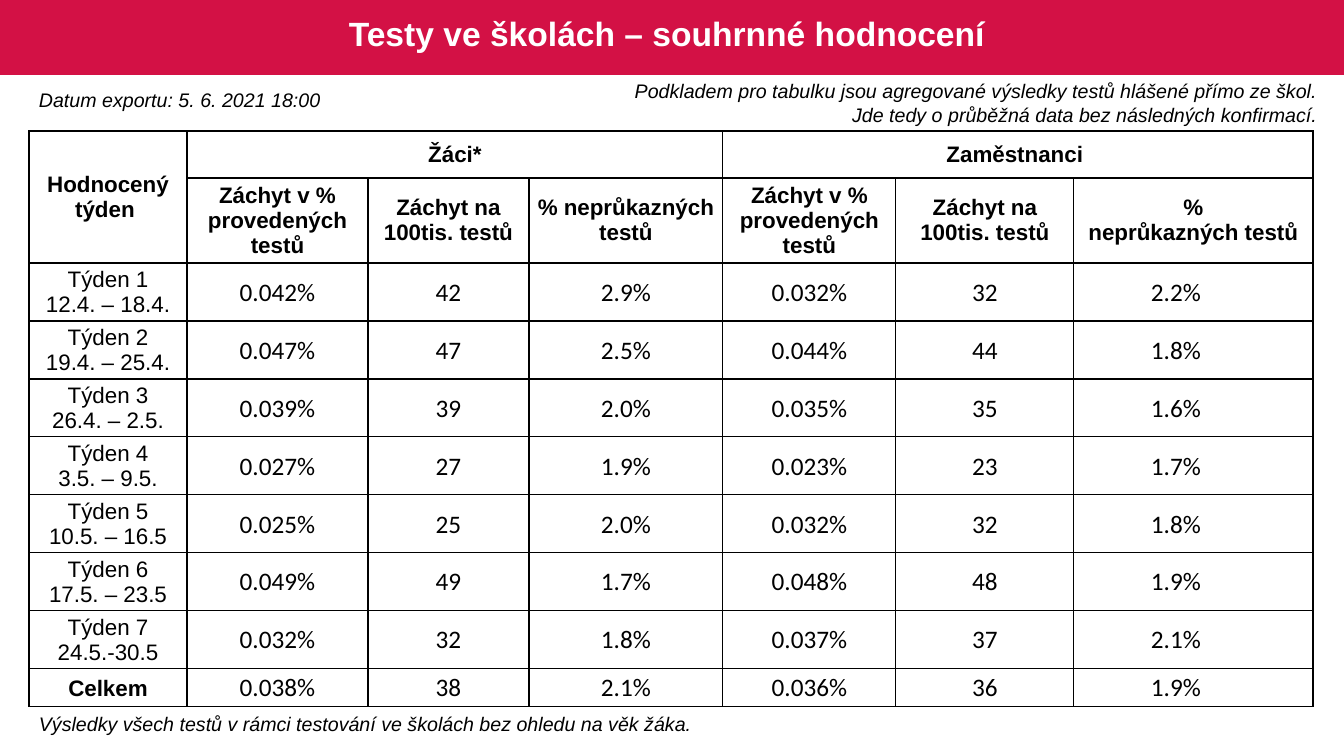
from dataclasses import dataclass

import lxml.etree
import pptx
import pptx.dml.color
import pptx.enum.shapes
import pptx.enum.text
import pptx.oxml.ns
import pptx.util

PX = 914400 / 100.8
CRIMSON = pptx.dml.color.RGBColor(0xD3, 0x11, 0x45)
WHITE = pptx.dml.color.RGBColor(0xFF, 0xFF, 0xFF)
BLACK = pptx.dml.color.RGBColor(0x00, 0x00, 0x00)
ALIGN = pptx.enum.text.PP_ALIGN
ANCHOR = pptx.enum.text.MSO_ANCHOR
AUTO_SIZE = pptx.enum.text.MSO_AUTO_SIZE
THIN, THICK = 1, 1.5

COLUMN_WIDTHS = [158, 181, 161, 194, 173, 178, 204, 35]
ROW_HEIGHTS = [47, 85] + [58] * 7 + [38]
LAST_COLUMN = len(COLUMN_WIDTHS) - 1


@dataclass(frozen=True)
class Note:
    text: str
    left: int
    top: int
    width: int
    height: int
    align: ALIGN = ALIGN.LEFT
    wrap: bool = True


@dataclass(frozen=True)
class Heading:
    text: str
    row: int
    column: int
    rows: int = 1
    columns: int = 1


@dataclass(frozen=True)
class Result:
    label: str
    values: tuple[str, ...]
    bold: bool = False


NOTES = [
    Note("Datum exportu: 5. 6. 2021 18:00", 29, 83, 314, 34, wrap=False),
    Note("Výsledky všech testů v rámci testování ve školách bez ohledu na věk žáka.",
         29, 707, 1277, 34),
    Note("Podkladem pro tabulku jsou agregované výsledky testů hlášené přímo ze škol. \n"
         "Jde tedy o průběžná data bez následných konfirmací. ",
         575, 74, 758, 57, align=ALIGN.RIGHT),
]
HEADINGS = [
    Heading("Hodnocený týden ", 0, 0, rows=2),
    Heading("Žáci*", 0, 1, columns=3),
    Heading("Zaměstnanci ", 0, 4, columns=4),
    Heading("Záchyt v % provedených testů", 1, 1),
    Heading("Záchyt na 100tis. testů", 1, 2),
    Heading("% neprůkazných testů", 1, 3),
    Heading("Záchyt v % provedených testů", 1, 4),
    Heading("Záchyt na 100tis. testů", 1, 5),
    Heading("%\nneprůkazných testů", 1, 6, columns=2),
]
RESULTS = [
    Result("Týden 1\n12.4. – 18.4.", ("0.042%", "42", "2.9%", "0.032%", "32", "2.2%")),
    Result("Týden 2\n19.4. – 25.4.", ("0.047%", "47", "2.5%", "0.044%", "44", "1.8%")),
    Result("Týden 3\n26.4. – 2.5.", ("0.039%", "39", "2.0%", "0.035%", "35", "1.6%")),
    Result("Týden 4\n3.5. – 9.5.", ("0.027%", "27", "1.9%", "0.023%", "23", "1.7%")),
    Result("Týden 5\n10.5. – 16.5", ("0.025%", "25", "2.0%", "0.032%", "32", "1.8%")),
    Result("Týden 6\n17.5. – 23.5", ("0.049%", "49", "1.7%", "0.048%", "48", "1.9%")),
    Result("Týden 7\v24.5.-30.5", ("0.032%", "32", "1.8%", "0.037%", "37", "2.1%")),
    Result("Celkem", ("0.038%", "38", "2.1%", "0.036%", "36", "1.9%"), bold=True),
]


def px(length: int) -> int:
    return round(length * PX)


def write(frame, text: str, *, size: int, font: str = "Arial", color=BLACK,
          bold: bool = False, italic: bool = False, align=ALIGN.CENTER,
          line_spacing: float | None = None) -> None:
    frame.text = text
    for paragraph in frame.paragraphs:
        paragraph.alignment = align
        paragraph.line_spacing = line_spacing
        for run in paragraph.runs:
            run.font.size = pptx.util.Pt(size)
            run.font.name = font
            run.font.color.rgb = color
            run.font.bold = bold
            run.font.italic = italic


def add_box(slide, left: int, top: int, width: int, height: int):
    return slide.shapes.add_textbox(px(left), px(top), px(width), px(height)).text_frame


def add_title(slide) -> None:
    banner = slide.shapes.add_shape(
        pptx.enum.shapes.MSO_SHAPE.RECTANGLE, 0, 0, px(1344), px(75))
    banner.shadow.inherit = False
    banner.fill.solid()
    banner.fill.fore_color.rgb = CRIMSON
    banner.line.fill.background()
    frame = add_box(slide, 18, 4, 1307, 64)
    frame.word_wrap = True
    frame.vertical_anchor = ANCHOR.MIDDLE
    write(frame, "Testy ve školách – souhrnné hodnocení ", size=24, color=WHITE,
          bold=True, line_spacing=0.9)


def add_note(slide, note: Note) -> None:
    frame = add_box(slide, note.left, note.top, note.width, note.height)
    frame.word_wrap = note.wrap
    frame.auto_size = AUTO_SIZE.SHAPE_TO_FIT_TEXT
    write(frame, note.text, size=14, italic=True, align=note.align)


def set_border(cell, side: str, width: float) -> None:
    qn = pptx.oxml.ns.qn
    line = lxml.etree.SubElement(cell._tc.get_or_add_tcPr(), qn(f"a:ln{side}"),
                                 w=str(pptx.util.Pt(width)))
    if width:
        fill = lxml.etree.SubElement(line, qn("a:solidFill"))
        lxml.etree.SubElement(fill, qn("a:srgbClr"), val=str(BLACK))
    else:
        lxml.etree.SubElement(line, qn("a:noFill"))


def format_cell(cell, row: int, column: int) -> None:
    header = row < 2
    last = column + (cell.span_width if cell.is_merge_origin else 1) > LAST_COLUMN
    left = THICK if column == 0 else THIN
    right = THICK if last else THIN
    if not header and column == LAST_COLUMN:
        left = 0
    if not header and column == LAST_COLUMN - 1:
        right = 0
    top = THICK if row == 0 else THIN
    for side, width in zip("LRTB", (left, right, top, THIN)):
        set_border(cell, side, width)
    cell.fill.background()
    cell.vertical_anchor = ANCHOR.MIDDLE
    cell.margin_left = cell.margin_right = px(5 if header else 1)
    cell.margin_top = px(0 if header else 1)
    cell.margin_bottom = 0


def add_results_table(slide) -> None:
    table = slide.shapes.add_table(
        len(ROW_HEIGHTS), len(COLUMN_WIDTHS), px(29), px(131),
        px(sum(COLUMN_WIDTHS)), px(sum(ROW_HEIGHTS))).table
    table.first_row = table.horz_banding = False
    for column, width in zip(table.columns, COLUMN_WIDTHS):
        column.width = px(width)
    for row, height in zip(table.rows, ROW_HEIGHTS):
        row.height = px(height)
    for heading in HEADINGS:
        cell = table.cell(heading.row, heading.column)
        if heading.rows * heading.columns > 1:
            cell.merge(table.cell(heading.row + heading.rows - 1,
                                  heading.column + heading.columns - 1))
        write(cell.text_frame, heading.text, size=16, bold=True)
    for row, result in enumerate(RESULTS, start=2):
        write(table.cell(row, 0).text_frame, result.label, size=16, bold=result.bold)
        for column, value in enumerate(result.values, start=1):
            write(table.cell(row, column).text_frame, value, size=18, font="Calibri")
    for row in range(len(ROW_HEIGHTS)):
        for column in range(len(COLUMN_WIDTHS)):
            format_cell(table.cell(row, column), row, column)


def main() -> None:
    presentation = pptx.Presentation()
    presentation.slide_width = px(1344)
    presentation.slide_height = px(756)
    slide = presentation.slides.add_slide(presentation.slide_layouts[6])
    add_title(slide)
    add_results_table(slide)
    for note in NOTES:
        add_note(slide, note)
    presentation.save("out.pptx")


if __name__ == "__main__":
    main()
